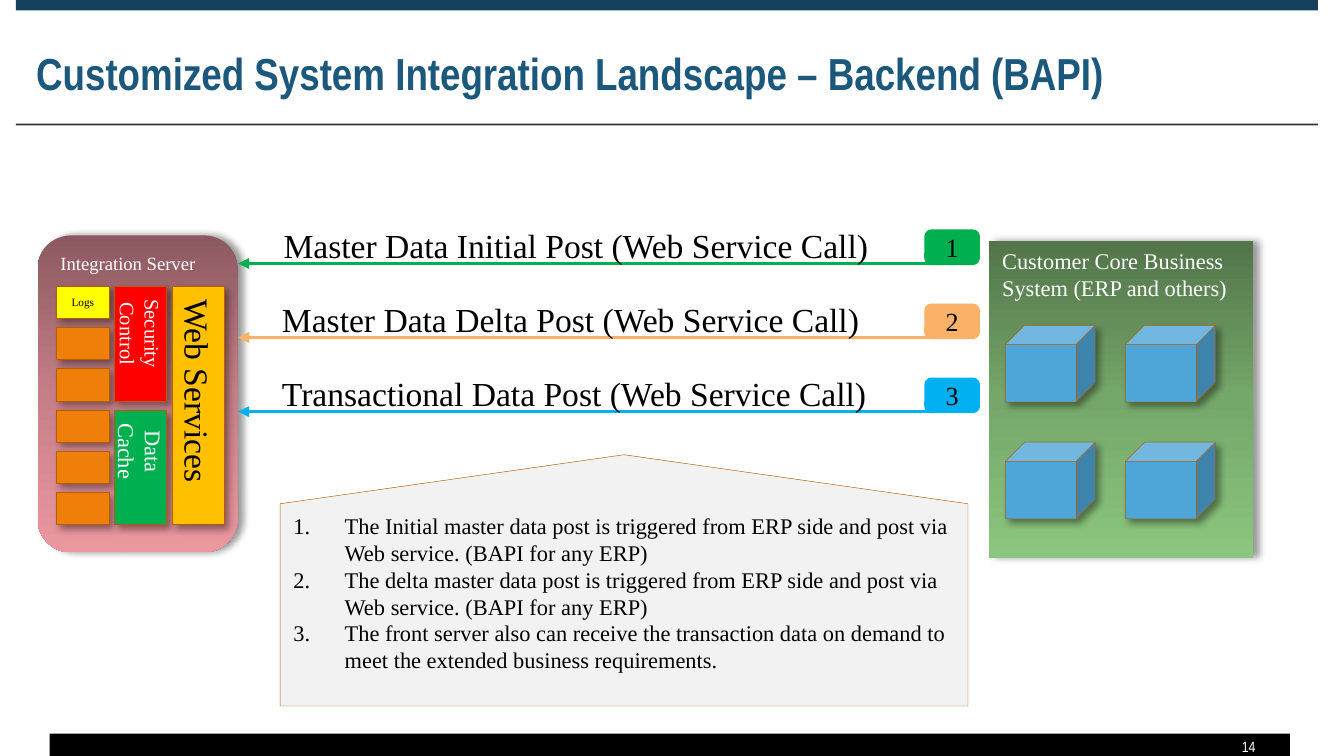
from copy import deepcopy

from lxml.etree import SubElement
from pptx import Presentation
from pptx.dml.color import RGBColor
from pptx.enum.shapes import MSO_CONNECTOR, MSO_SHAPE
from pptx.enum.text import MSO_ANCHOR, PP_ALIGN
from pptx.oxml.ns import qn
from pptx.util import Cm, Pt

BLACK = RGBColor(0x00, 0x00, 0x00)
WHITE = RGBColor(0xFF, 0xFF, 0xFF)
NAVY = RGBColor(0x14, 0x42, 0x5D)
TITLE_BLUE = RGBColor(0x1B, 0x58, 0x7C)
CHARCOAL = RGBColor(0x32, 0x32, 0x32)
BROWN = RGBColor(0xB2, 0x5E, 0x07)
YELLOW = RGBColor(0xFF, 0xFF, 0x00)
RED = RGBColor(0xFF, 0x00, 0x00)
GREEN = RGBColor(0x00, 0xB0, 0x50)
GOLD = RGBColor(0xFF, 0xC0, 0x00)
ORANGE = RGBColor(0xF0, 0x7F, 0x09)
PEACH = RGBColor(0xF9, 0xB2, 0x68)
SKY = RGBColor(0x00, 0xB0, 0xF0)
CUBE_BLUE = RGBColor(0x4E, 0xA5, 0xD8)
PALE_GRAY = RGBColor(0xF2, 0xF2, 0xF2)
ROSE = [RGBColor(0x8B, 0x59, 0x5F), RGBColor(0xC6, 0x7F, 0x87), RGBColor(0xEB, 0x97, 0xA0)]
LEAF = [RGBColor(0x52, 0x75, 0x4A), RGBColor(0x75, 0xA7, 0x6A), RGBColor(0x8B, 0xC6, 0x7E)]
SERIF = "Times New Roman"
NARROW = "Arial Narrow"

TITLE = "Customized System Integration Landscape – Backend (BAPI)"
PAGE_NUMBER = "14"
BARS = [
    (0.94, 13.87, 23.44, 0.48, BLACK),
    (0.3, 0, 24.61, 0.2, NAVY),
    (0.3, 2.34, 24.61, 0.03, CHARCOAL),
]
PANELS = [
    ("Integration Server", MSO_SHAPE.ROUNDED_RECTANGLE, (0.71, 4.45, 3.78, 5.99), ROSE, 10),
    ("Customer Core Business System (ERP and others)", MSO_SHAPE.RECTANGLE,
     (18.69, 4.55, 5, 5.99), LEAF, 12),
]
MODULES = [
    (0, 0, 1, "Logs", YELLOW, 6, BLACK),
    *[(0, row, 1, "", ORANGE, 6, BLACK) for row in range(1, 6)],
    (1, 0, 3, "Security Control", RED, 11, WHITE),
    (1, 3, 3, "Data Cache", GREEN, 12, WHITE),
    (2, 0, 6, "Web Services", GOLD, 18, BLACK),
]
FLOWS = [
    ("Master Data Initial Post (Web Service Call)", GREEN, 5.11, 11.68),
    ("Master Data Delta Post (Web Service Call)", PEACH, 5.08, 11.53),
    ("Transactional Data Post (Web Service Call)", SKY, 5.08, 11.68),
]
NOTES = [
    "The Initial master data post is triggered from ERP side and post via Web service. (BAPI for any ERP)",
    "The delta master data post is triggered from ERP side and post via Web service. (BAPI for any ERP)",
    "The front server also can receive the transaction data on demand to meet the extended business requirements.",
]
MODULE_LEFT, MODULE_TOP, MODULE_WIDTH, MODULE_HEIGHT = 1.07, 5.41, 0.99, 0.61
COLUMN_STEP, ROW_STEP = 1.09, 0.78
FLOW_TOP, FLOW_STEP = 4.98, 1.4
CUBE_LEFT, CUBE_TOP, CUBE_STEP_X, CUBE_STEP_Y = 19, 6.15, 2.27, 2.21


def write(box, lines, size, color, font=SERIF, bold=False, align=PP_ALIGN.LEFT,
          anchor=MSO_ANCHOR.MIDDLE, wrap=True, vertical=False, numbered=False):
    frame = box.text_frame
    frame.word_wrap = wrap
    frame.vertical_anchor = anchor
    if vertical:
        frame._txBody.bodyPr.set("vert", "eaVert")
    for index, line in enumerate(lines):
        para = frame.add_paragraph() if index else frame.paragraphs[0]
        para.alignment = align
        if numbered:
            properties = para._p.get_or_add_pPr()
            properties.set("marL", str(Cm(0.97)))
            properties.set("indent", str(Cm(-0.97)))
            SubElement(properties, qn("a:buAutoNum"), type="arabicPeriod")
        span = para.add_run()
        span.text = line
        span.font.name = font
        span.font.size = Pt(size)
        span.font.bold = bold
        span.font.color.rgb = color


def add_box(page, kind, place, fill, line=None, line_width=0.25, shadow_angle=None):
    shape = page.shapes.add_shape(kind, *map(Cm, place))
    shape.shadow.inherit = False
    if isinstance(fill, list):
        shape.fill.gradient()
        shape.fill.gradient_angle = 270
        stop_list = shape._element.spPr.find(qn("a:gradFill")).find(qn("a:gsLst"))
        stop_list.append(deepcopy(stop_list[-1]))
        for stop, color, position in zip(shape.fill.gradient_stops, fill, (0, 0.5, 1)):
            stop.color.rgb = color
            stop.position = position
    else:
        shape.fill.solid()
        shape.fill.fore_color.rgb = fill
    if line is None:
        shape.line.fill.background()
    else:
        shape.line.color.rgb = line
        shape.line.width = Pt(line_width)
    if shadow_angle is not None:
        effects = shape._element.spPr.find(qn("a:effectLst"))
        shadow = SubElement(effects, qn("a:outerShdw"), blurRad=str(Pt(4)), dist=str(Pt(3)),
                            dir=str(shadow_angle * 60000), algn="tl", rotWithShape="0")
        SubElement(SubElement(shadow, qn("a:srgbClr"), val="000000"), qn("a:alpha"), val="40000")
    return shape


def add_text(page, place, lines, **style):
    write(page.shapes.add_textbox(*map(Cm, place)), lines, **style)


def add_arrow(page, start, end, y, color):
    arrow = page.shapes.add_connector(MSO_CONNECTOR.STRAIGHT, Cm(start), Cm(y), Cm(end), Cm(y))
    arrow.line.color.rgb = color
    arrow.line.width = Pt(1.25)
    SubElement(arrow.line._get_or_add_ln(), qn("a:tailEnd"), type="triangle")
    SubElement(arrow._element.spPr, qn("a:effectLst"))


def main():
    deck = Presentation()
    deck.slide_width, deck.slide_height = Cm(25.4), Cm(14.29)
    page = deck.slides.add_slide(deck.slide_layouts[5])

    for *place, color in BARS:
        add_box(page, MSO_SHAPE.RECTANGLE, place, color)
    title = page.shapes.title
    title.left, title.top, title.width, title.height = map(Cm, (0.43, 0.53, 24.41, 1.47))
    write(title, [TITLE], 24, TITLE_BLUE, font=NARROW, bold=True, anchor=MSO_ANCHOR.BOTTOM)
    add_text(page, (21.87, 13.87, 2.11, 0.48), [PAGE_NUMBER], size=8, color=WHITE,
             font=NARROW, align=PP_ALIGN.RIGHT)

    for text, kind, place, colors, size in PANELS:
        panel = add_box(page, kind, place, colors, shadow_angle=0)
        write(panel, [text], size, WHITE, anchor=MSO_ANCHOR.TOP)

    for column, row, rows, text, fill, size, color in MODULES:
        place = (MODULE_LEFT + column * COLUMN_STEP, MODULE_TOP + row * ROW_STEP,
                 MODULE_WIDTH, MODULE_HEIGHT + (rows - 1) * ROW_STEP)
        module = add_box(page, MSO_SHAPE.RECTANGLE, place, fill, BROWN, shadow_angle=45)
        if text:
            write(module, [text], size, color, align=PP_ALIGN.CENTER, vertical=rows > 1)

    for index, (text, color, left, width) in enumerate(FLOWS):
        y = FLOW_TOP + index * FLOW_STEP
        add_arrow(page, 18.29, 4.5, y, color)
        badge = add_box(page, MSO_SHAPE.ROUNDED_RECTANGLE, (17.5, y - 0.61, 0.99, 0.61),
                        color, color, 1.75)
        write(badge, [str(index + 1)], 14, BLACK, align=PP_ALIGN.CENTER)
        add_text(page, (left, y - 0.86, width, 1.02), [text], size=18, color=BLACK,
                 anchor=MSO_ANCHOR.TOP, wrap=False)

    for index in range(4):
        row, column = divmod(index, 2)
        place = (CUBE_LEFT + column * CUBE_STEP_X, CUBE_TOP + row * CUBE_STEP_Y, 1.7, 1.45)
        add_box(page, MSO_SHAPE.CUBE, place, CUBE_BLUE, BROWN, shadow_angle=45)

    callout = add_box(page, MSO_SHAPE.PENTAGON, (9.42, 4.47, 4.75, 13), PALE_GRAY, BROWN)
    callout.rotation = 270
    callout.adjustments[0] = 0.195
    write(callout, NOTES, 12, BLACK, vertical=True, numbered=True)

    deck.save("out.pptx")


if __name__ == "__main__":
    main()
